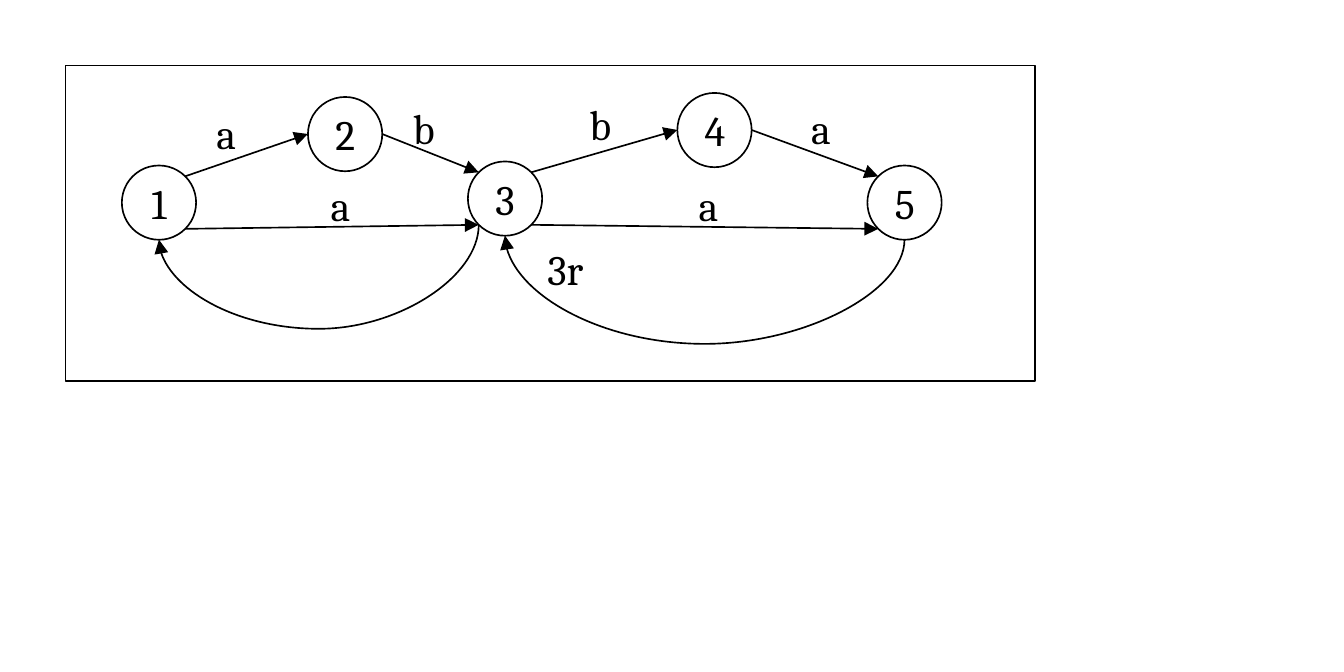
import math
from collections import namedtuple

from lxml import etree
from pptx import Presentation, util as u
from pptx.dml.color import RGBColor
from pptx.enum import shapes, text
from pptx.oxml.ns import qn

COLORS = {"ink": "000000", "paper": "FFFFFF"}
FONT, FONT_SIZE, LINE_WIDTH = "Cambria", 18, 0.71
SLIDE_WIDTH, SLIDE_HEIGHT = u.Inches(8), u.Inches(4)
COLUMN, ROW = SLIDE_WIDTH / 800, SLIDE_HEIGHT / 400  # fine square grid

Box = namedtuple("Box", "left top width height")
PANEL = Box(39, 39, 577, 188)

# All places below are columns and rows from the panel's corner
RADIUS = 22.1
STATES = {"1": (55.6, 81.6), "2": (166.4, 40.8), "4": (386.3, 38.4),
          "5": (499.4, 81.6), "3": (261.6, 79.2)}
LABELS = [("a", 80, 20, 34), ("3r", 277, 101, 46), ("a", 148, 63, 34),
          ("b", 302, 15, 35), ("a", 367, 63, 34), ("b", 197, 17, 35),
          ("a", 434, 17, 34)]

# Angles on a state's rim, clockwise from the right
RIGHT, LOWER_RIGHT, BOTTOM, LOWER_LEFT, LEFT, UPPER_LEFT, UPPER_RIGHT = (
    0, 45, 90, 135, 180, 225, 315)
ARROWS = [("1", UPPER_RIGHT, "2", LEFT), ("2", RIGHT, "3", UPPER_LEFT),
          ("3", UPPER_RIGHT, "4", LEFT), ("4", RIGHT, "5", UPPER_LEFT),
          ("1", LOWER_RIGHT, "3", LOWER_LEFT),
          ("3", LOWER_RIGHT, "5", LOWER_LEFT)]
LOOPS = [("3", LOWER_LEFT, "1", BOTTOM), ("5", BOTTOM, "3", BOTTOM)]
LOOP_DEPTH = 62  # rows from the start of a loop to its lowest point


def color(name):
    return RGBColor.from_string(COLORS[name])


def grid(left, top, width, height):
    return [round(n * step) for n, step in
            zip((left, top, width, height), (COLUMN, ROW, COLUMN, ROW))]


def style_line(line):
    line.color.rgb = color("ink")
    line.width = u.Pt(LINE_WIDTH)


def add_outlined(page, kind, *place):
    shape = page.shapes.add_shape(kind, *grid(*place))
    shape.shadow.inherit = False
    shape.fill.solid()
    shape.fill.fore_color.rgb = color("paper")
    style_line(shape.line)
    return shape


def write(frame, words, align):
    para = frame.paragraphs[0]
    para.alignment = align
    span = para.add_run()
    span.text = words
    span.font.name = FONT
    span.font.size = u.Pt(FONT_SIZE)
    span.font.color.rgb = color("ink")


def rim_point(box, state, angle):
    x, y = STATES[state]
    turn = math.radians(angle)
    return (box.left + x + RADIUS * math.cos(turn),
            box.top + y + RADIUS * math.sin(turn))


def add_arrow(page, kind, start, end):
    arrow = page.shapes.add_connector(kind, *grid(*start, *end))
    style_line(arrow.line)
    properties = arrow._element.spPr
    outline = properties.find(qn("a:ln"))
    etree.SubElement(outline, qn("a:tailEnd"), type="triangle")
    etree.SubElement(properties, qn("a:effectLst"))
    return arrow


def add_loop(page, start, end):
    """Curve that hangs below two points, drawn as a turned connector."""
    (x1, y1), (x2, y2) = start, end
    width, height = abs(y2 - y1), abs(x2 - x1)
    left, top = (x1 + x2 - width) / 2, (y1 + y2 - height) / 2
    arrow = add_arrow(page, shapes.MSO_CONNECTOR.CURVE, (left, top),
                      (left + width, top + height))
    properties = arrow._element.spPr
    frame = properties.find(qn("a:xfrm"))
    rises = y2 < y1
    frame.set("rot", str((270 if rises else 90) * 60000))
    if rises:
        frame.set("flipV", "1")
    bend = round(LOOP_DEPTH / (y2 - y1) * 100000)
    adjustments = properties.find(qn("a:prstGeom")).find(qn("a:avLst"))
    etree.SubElement(adjustments, qn("a:gd"), name="adj1", fmla=f"val {bend}")


def add_state(page, box, name):
    x, y = STATES[name]
    circle = add_outlined(page, shapes.MSO_SHAPE.OVAL, box.left + x - RADIUS,
                          box.top + y - RADIUS, 2 * RADIUS, 2 * RADIUS)
    circle.text_frame.vertical_anchor = text.MSO_ANCHOR.MIDDLE
    write(circle.text_frame, name, text.PP_ALIGN.CENTER)


def add_label(page, box, words, x, y, width):
    label = page.shapes.add_textbox(
        *grid(box.left + x, box.top + y, width, 44))
    label.text_frame.word_wrap = False
    label.text_frame.auto_size = text.MSO_AUTO_SIZE.SHAPE_TO_FIT_TEXT
    write(label.text_frame, words, text.PP_ALIGN.LEFT)


def draw_automaton(page, box):
    # Frame
    add_outlined(page, shapes.MSO_SHAPE.RECTANGLE, *box)
    # States and transition labels
    for name in STATES:
        add_state(page, box, name)
    for label in LABELS:
        add_label(page, box, *label)
    # Straight transitions
    for source, leave, target, arrive in ARROWS:
        add_arrow(page, shapes.MSO_CONNECTOR.STRAIGHT,
                  rim_point(box, source, leave),
                  rim_point(box, target, arrive))
    # Transitions back to an earlier state
    for source, leave, target, arrive in LOOPS:
        add_loop(page, rim_point(box, source, leave),
                 rim_point(box, target, arrive))


def main():
    deck = Presentation()
    deck.slide_width, deck.slide_height = SLIDE_WIDTH, SLIDE_HEIGHT
    page = deck.slides.add_slide(deck.slide_layouts[6])
    draw_automaton(page, PANEL)
    deck.save("out.pptx")


if __name__ == "__main__":
    main()
